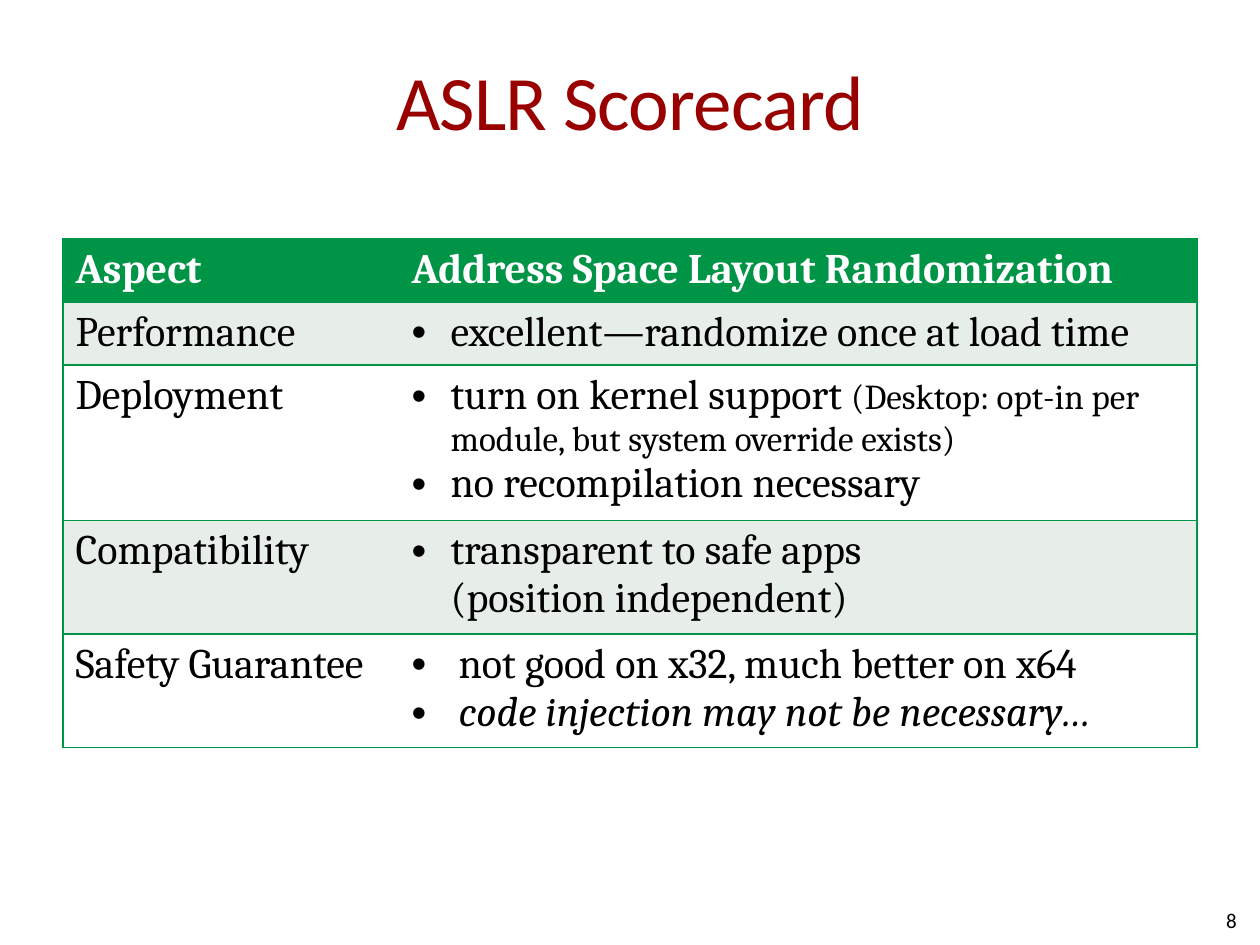
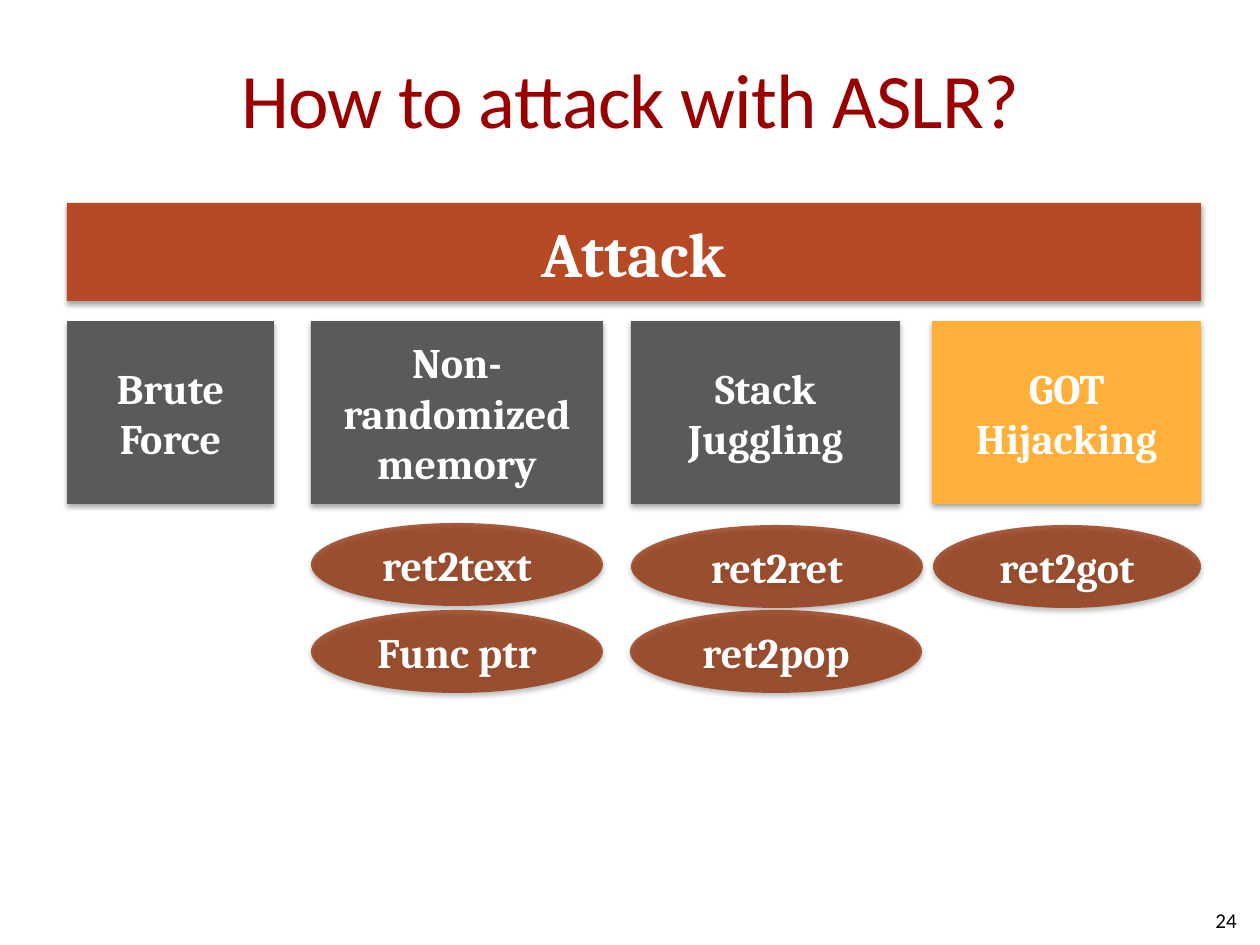
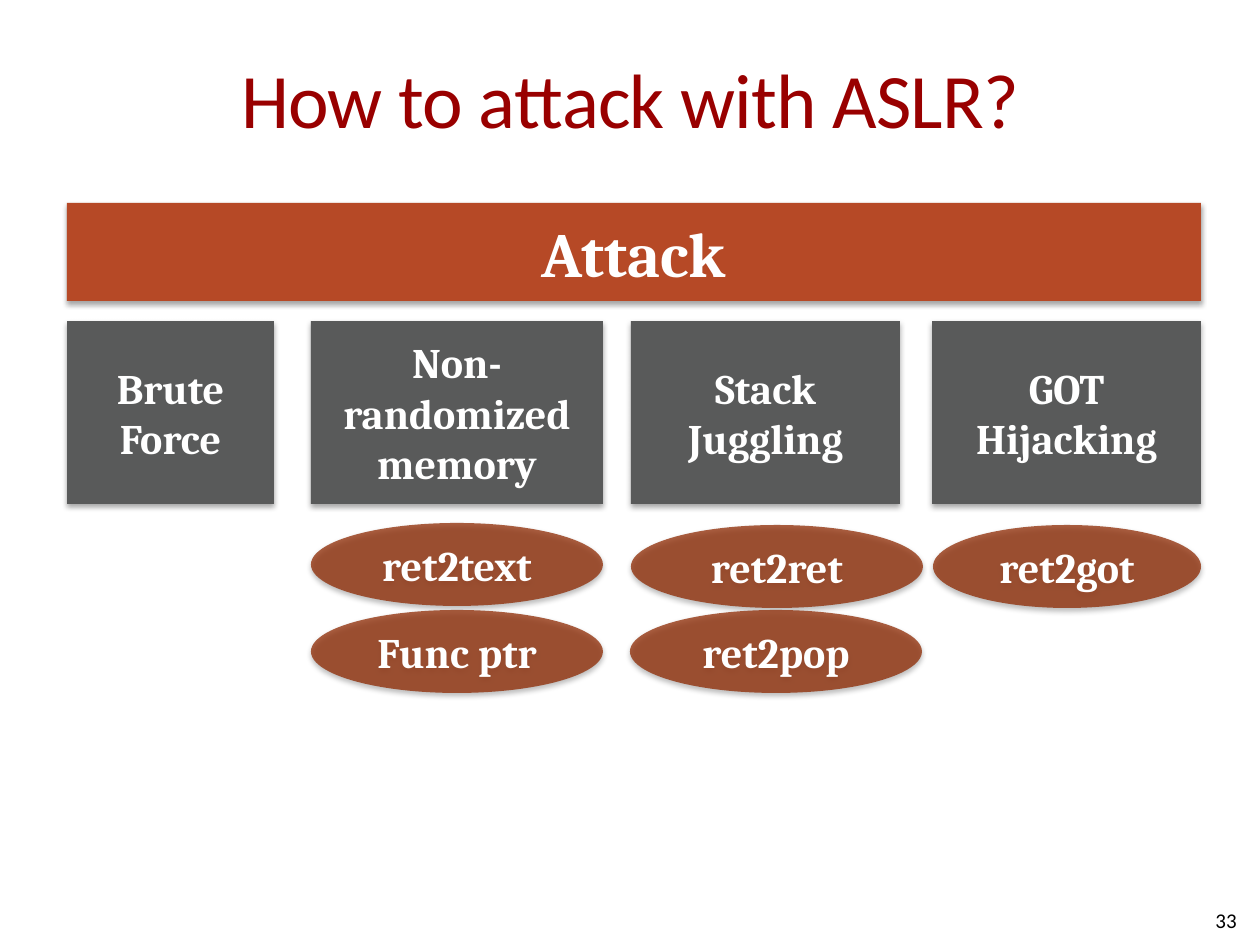
from dataclasses import dataclass

from lxml import etree
from pptx import Presentation
from pptx.dml.color import RGBColor
from pptx.enum.shapes import MSO_SHAPE
from pptx.enum.text import MSO_ANCHOR, MSO_AUTO_SIZE, PP_ALIGN
from pptx.oxml.ns import qn
from pptx.util import Emu, Pt

RECT, ELLIPSE = MSO_SHAPE.RECTANGLE, MSO_SHAPE.OVAL
LEFT, CENTER, RIGHT = PP_ALIGN.LEFT, PP_ALIGN.CENTER, PP_ALIGN.RIGHT
MIDDLE = MSO_ANCHOR.MIDDLE
NO_FIT = MSO_AUTO_SIZE.NONE

PX_PER_INCH = 126
TITLE_ONLY = 5
NO_STYLE_TABLE = "{2D5ABB26-0587-4C30-8999-92F81FD0307C}"


def px(length):
    return Emu(round(length * 914400 / PX_PER_INCH))


def add_xml(parent, tag, **attributes):
    return etree.SubElement(parent, qn(tag), attributes)


@dataclass(frozen=True)
class Theme:
    heading_font: str = "Calibri"
    body_font: str = "Cambria"
    title: str = "990000"
    ink: str = "000000"
    white: str = "FFFFFF"
    green: str = "009446"
    pale_green: str = "E7EEE9"
    rust: str = "B64926"
    gray: str = "595A5A"
    amber: str = "FFB03B"
    brown: str = "8E2800"
    title_size: int = 44
    banner_size: int = 36
    body_size: int = 24
    detail_size: int = 20
    page_size: int = 12


THEME = Theme()


class Deck:
    """Holds the theme and the current slide, and draws its elements."""

    def __init__(self, theme):
        self.theme = theme
        self.prs = Presentation()
        self.prs.slide_width, self.prs.slide_height = px(1260), px(945)
        self.slide = None

    def new_slide(self, title, title_top, title_height, page):
        t = self.theme
        self.slide = self.prs.slides.add_slide(self.prs.slide_layouts[TITLE_ONLY])
        heading = self.slide.shapes.title
        heading.left, heading.top = px(63), px(title_top)
        heading.width, heading.height = px(1134), px(title_height)
        frame = heading.text_frame
        frame.auto_size, frame.vertical_anchor = NO_FIT, MIDDLE
        frame.margin_left = frame.margin_right = 0
        run = self.run(frame.paragraphs[0], title, t.title_size, t.title,
                       font=t.heading_font, align=CENTER)
        run.font._element.set("spc", "-50")
        self.page_number(page)

    def page_number(self, page):
        t = self.theme
        box = self.slide.shapes.add_textbox(px(955), px(895), px(294), px(50))
        frame = box.text_frame
        frame.word_wrap, frame.vertical_anchor = True, MIDDLE
        self.run(frame.paragraphs[0], str(page), t.page_size, t.ink,
                 font=t.heading_font, align=RIGHT)

    def run(self, paragraph, text, size, color, font=None, align=LEFT,
            bold=False, italic=False):
        paragraph.alignment = align
        run = paragraph.add_run()
        run.text = text
        run.font.name = font or self.theme.body_font
        run.font.size = Pt(size)
        run.font.bold, run.font.italic = bold, italic
        run.font.color.rgb = RGBColor.from_string(color)
        return run

    def block(self, kind, label, x, y, w, h, color, size, opacity=None):
        """A filled, softly shadowed shape; each line of label is a paragraph."""
        shape = self.slide.shapes.add_shape(kind, px(x), px(y), px(w), px(h))
        shape.fill.solid()
        shape.fill.fore_color.rgb = RGBColor.from_string(color)
        shape.line.fill.background()
        properties = shape._element.spPr
        if opacity:
            fill = properties.find(qn("a:solidFill"))
            add_xml(fill[0], "a:alpha", val=str(opacity * 1000))
        self.soft_shadow(shape)
        frame = shape.text_frame
        frame.word_wrap, frame.vertical_anchor = True, MIDDLE
        for i, line in enumerate(label.split("\n")):
            paragraph = frame.add_paragraph() if i else frame.paragraphs[0]
            self.run(paragraph, line, size, self.theme.white, align=CENTER, bold=True)

    def soft_shadow(self, shape):
        shape.shadow.inherit = False
        effects = shape._element.spPr.find(qn("a:effectLst"))
        shadow = add_xml(effects, "a:outerShdw", blurRad="40000", dist="23000",
                         dir="5400000", rotWithShape="0")
        color = add_xml(shadow, "a:srgbClr", val=self.theme.ink)
        add_xml(color, "a:alpha", val="35000")

    def table(self, x, y, widths, heights, rows):
        """rows holds cells; a cell is an indent and a list of paragraphs of runs."""
        t = self.theme
        table = self.slide.shapes.add_table(
            len(rows), len(widths), px(x), px(y),
            px(sum(widths)), px(sum(heights))).table
        table._tbl.tblPr.find(qn("a:tableStyleId")).text = NO_STYLE_TABLE
        for column, width in zip(table.columns, widths):
            column.width = px(width)
        for r, (height, row) in enumerate(zip(heights, rows)):
            table.rows[r].height = px(height)
            header = r == 0
            fill = t.green if header else t.pale_green if r % 2 else t.white
            for c, (indent, paragraphs) in enumerate(row):
                cell = table.cell(r, c)
                self.cell_borders(cell, "LTB" if c == 0 else "RTB")
                cell.fill.solid()
                cell.fill.fore_color.rgb = RGBColor.from_string(fill)
                self.cell_text(cell, indent, paragraphs, header)

    def cell_borders(self, cell, sides):
        properties = cell._tc.get_or_add_tcPr()
        for side in "LRTB":
            if side in sides:
                line = add_xml(properties, "a:ln" + side, w="12700")
                add_xml(add_xml(line, "a:solidFill"), "a:srgbClr", val=self.theme.green)

    def cell_text(self, cell, indent, paragraphs, header):
        t = self.theme
        for i, pieces in enumerate(paragraphs):
            frame = cell.text_frame
            paragraph = frame.add_paragraph() if i else frame.paragraphs[0]
            if indent:
                self.bullet(paragraph, indent)
            for text, size, italic in pieces:
                for n, line in enumerate(text.split("\n")):
                    if n:
                        paragraph.add_line_break()
                    self.run(paragraph, line, size, t.white if header else t.ink,
                             bold=header, italic=italic)

    def bullet(self, paragraph, indent):
        properties = paragraph._p.get_or_add_pPr()
        properties.set("marL", str(px(indent)))
        properties.set("indent", str(-px(indent)))
        add_xml(properties, "a:buFont", typeface="Arial")
        add_xml(properties, "a:buChar", char="•")


def piece(text, size=THEME.body_size, italic=False):
    return text, size, italic


def plain(text):
    return 0, [[piece(text)]]


def bullets(*paragraphs, indent=39):
    return indent, paragraphs


SCORECARD = [
    (plain("Aspect"), plain("Address Space Layout Randomization")),
    (plain("Performance"),
     bullets([piece("excellent—randomize once at load time")])),
    (plain("Deployment"),
     bullets([piece("turn on kernel support "),
              piece("(Desktop: opt-in per module, but system override exists)",
                    THEME.detail_size)],
             [piece("no recompilation necessary")])),
    (plain("Compatibility"),
     bullets([piece("transparent to safe apps\n(position independent)")])),
    (plain("Safety Guarantee"),
     bullets([piece("not good on x32, much better on x64")],
             [piece("code injection may not be necessary…", italic=True)],
             indent=47)),
]

# Attack families: label, left, width
FAMILIES = [
    ("Brute Force", 67, 207),
    ("Non-randomized memory", 311, 292),
    ("Stack Juggling", 631, 269),
    ("GOT\nHijacking", 932, 269),
]

# Techniques below the families: label, left, top, width
TECHNIQUES = [
    ("ret2text", 311, 523, 292),
    ("Func ptr", 311, 610, 292),
    ("ret2ret", 631, 525, 292),
    ("ret2pop", 630, 610, 292),
    ("ret2got", 933, 525, 268),
]


def scorecard_slide(deck):
    deck.new_slide("ASLR Scorecard", 21, 158, page=8)
    deck.table(63, 239, [336, 798], [61, 61, 150, 109, 109], SCORECARD)


def attack_slide(deck, page, highlight=None):
    t = deck.theme
    deck.new_slide("How to attack with ASLR?", 37, 121, page)
    deck.block(RECT, "Attack", 67, 203, 1134, 98, t.rust, t.banner_size)
    for label, x, width in FAMILIES:
        color = t.amber if label == highlight else t.gray
        deck.block(RECT, label, x, 321, width, 183, color, t.body_size)
    for label, x, y, width in TECHNIQUES:
        deck.block(ELLIPSE, label, x, y, width, 83, t.brown, t.body_size, opacity=74)


def main():
    deck = Deck(THEME)
    scorecard_slide(deck)
    attack_slide(deck, page=24, highlight="GOT\nHijacking")
    attack_slide(deck, page=33)
    deck.prs.save("out.pptx")


if __name__ == "__main__":
    main()
